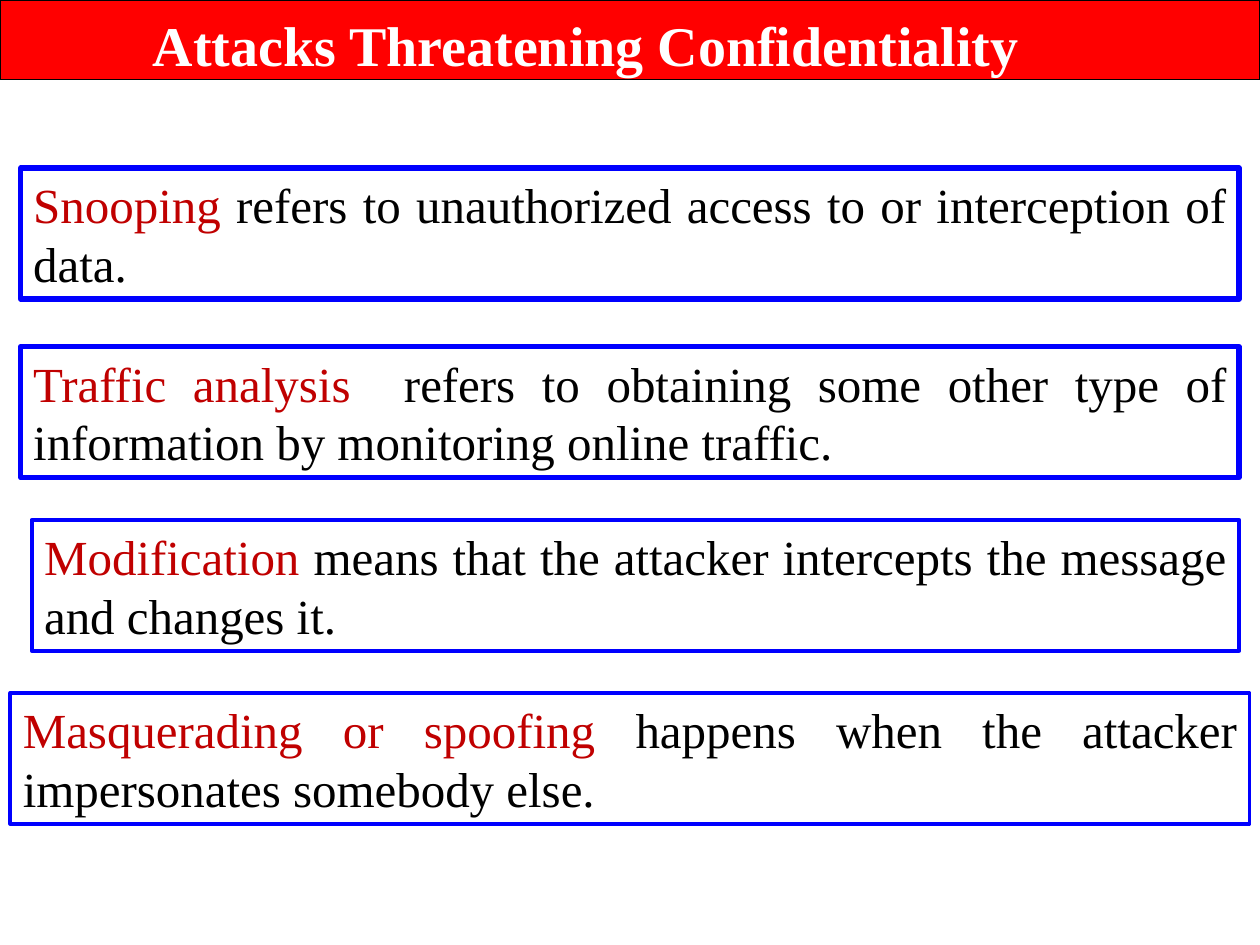
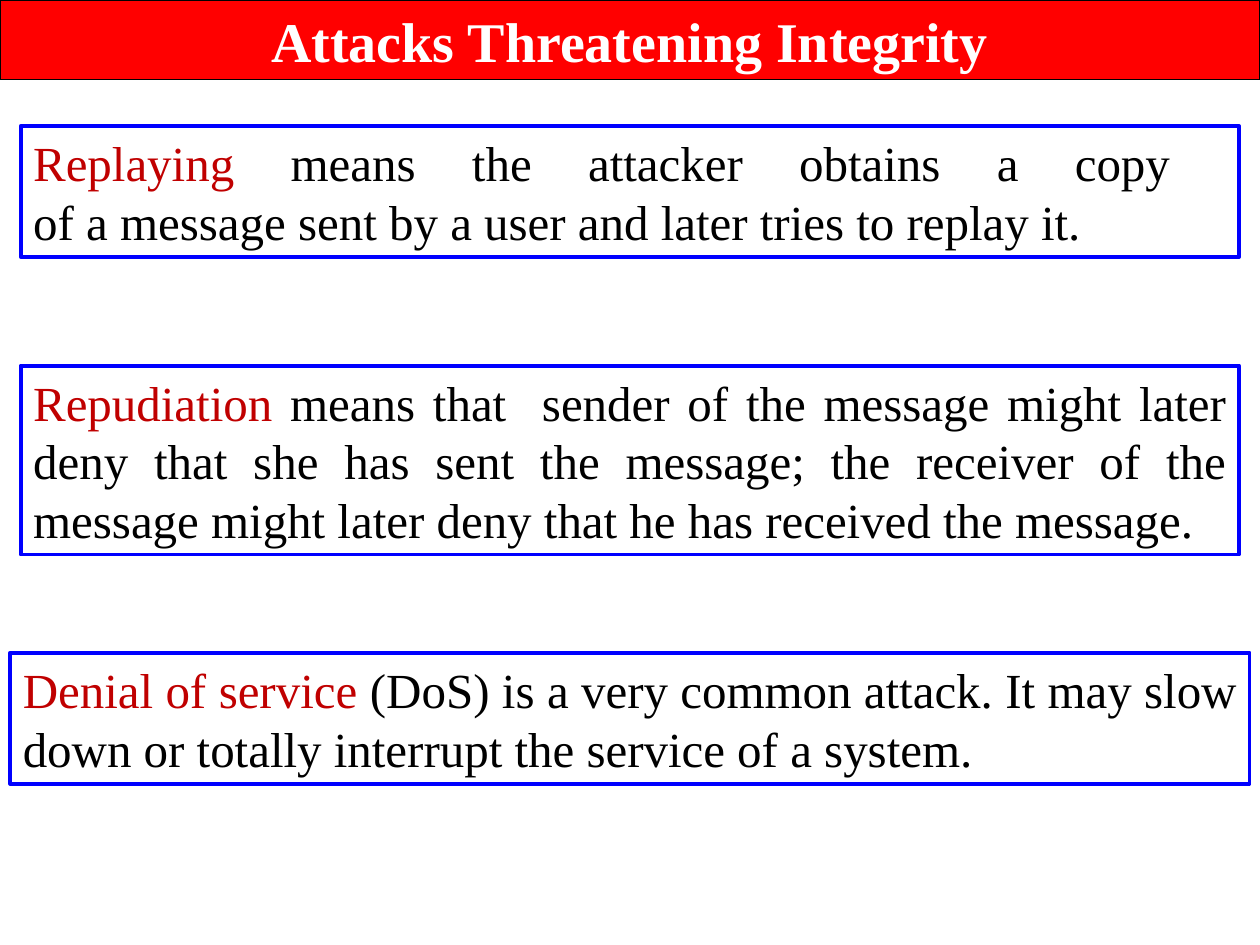
from dataclasses import dataclass

import pptx
import pptx.dml.color
import pptx.enum.shapes
import pptx.enum.text
import pptx.presentation
import pptx.slide
import pptx.text.text
import pptx.util

Cm = pptx.util.Cm
Pt = pptx.util.Pt
Color = pptx.dml.color.RGBColor
Anchor = pptx.enum.text.MSO_ANCHOR
Align = pptx.enum.text.PP_ALIGN
AutoSize = pptx.enum.text.MSO_AUTO_SIZE
RECTANGLE = pptx.enum.shapes.MSO_SHAPE.RECTANGLE


@dataclass(frozen=True)
class Theme:
    font: str = "Times New Roman"
    title_size: float = 32
    body_size: float = 28
    band: Color = Color(0xFF, 0x00, 0x00)
    band_line: Color = Color(0x00, 0x00, 0x00)
    title: Color = Color(0xFF, 0xFF, 0xFF)
    frame: Color = Color(0x00, 0x00, 0xFF)
    term: Color = Color(0xC0, 0x00, 0x00)
    body: Color = Color(0x00, 0x00, 0x00)


@dataclass(frozen=True)
class Definition:
    top: float
    term: str
    meaning: str
    left: float = 0.42
    right: float = 0.42
    lines: int = 2
    border: float = 2.25


@dataclass(frozen=True)
class AttackPage:
    title: str
    definitions: tuple[Definition, ...]
    title_top: float = 0
    title_width: float = 25.4
    title_height: float = 1.6
    title_anchor: Anchor = Anchor.MIDDLE


THEME = Theme()
PAGE_WIDTH = 25.4
PAGE_HEIGHT = 19.05
BAND_HEIGHT = 1.6
LINE_HEIGHT = 1.17
FRAME_PADDING = 0.3

PAGES = (
    AttackPage(
        "Attacks Threatening Confidentiality ",
        (
            Definition(3.39, "Snooping", " refers to unauthorized access to or interception of data.", border=3),
            Definition(
                6.99,
                "Traffic analysis  ",
                "refers to obtaining some other type of information by monitoring online traffic. ",
                border=3,
            ),
            Definition(
                10.48,
                "Modification ",
                "means that the attacker intercepts the message and changes it.",
                left=0.64,
            ),
            Definition(
                13.97,
                "Masquerading or spoofing ",
                "happens when the attacker impersonates somebody else.",
                left=0.21,
                right=0.21,
            ),
        ),
        title_top=0.08,
        title_width=23.92,
        title_height=1.62,
        title_anchor=Anchor.TOP,
    ),
    AttackPage(
        "Attacks Threatening Integrity",
        (
            Definition(
                2.54,
                "Replaying",
                " means the attacker obtains a copy \nof a message sent by a user and later tries to replay it. ",
            ),
            Definition(
                7.37,
                "Repudiation",
                " means that  sender of the message might later deny that she has sent the message; "
                "the receiver of the message might later deny that he has received the message.",
                lines=3,
            ),
            Definition(
                13.16,
                "Denial of service ",
                "(DoS) is a very common attack. It may slow down or totally interrupt the service of a system. ",
                left=0.21,
                right=0.21,
            ),
        ),
    ),
)


def add_span(para: pptx.text.text._Paragraph, text: str, size: float, color: Color, bold: bool = False) -> None:
    for index, line in enumerate(text.split("\n")):
        if index:
            para.add_line_break()
        span = para.add_run()
        span.text = line
        span.font.name = THEME.font
        span.font.size = Pt(size)
        span.font.bold = bold
        span.font.color.rgb = color


def set_frame(frame: pptx.text.text.TextFrame, anchor: Anchor, auto_size: AutoSize) -> None:
    frame.word_wrap = True
    frame.auto_size = auto_size
    frame.vertical_anchor = anchor
    frame.margin_left = frame.margin_right = Cm(0.25)
    frame.margin_top = frame.margin_bottom = Cm(0.13)


def add_title(page: pptx.slide.Slide, content: AttackPage) -> None:
    band = page.shapes.add_shape(RECTANGLE, 0, 0, Cm(PAGE_WIDTH), Cm(BAND_HEIGHT))
    band.shadow.inherit = False
    band.fill.solid()
    band.fill.fore_color.rgb = THEME.band
    band.line.color.rgb = THEME.band_line
    band.line.width = Pt(0.75)

    title = page.shapes.title
    title.element.addprevious(band.element)
    title.left, title.top = Cm(0), Cm(content.title_top)
    title.width, title.height = Cm(content.title_width), Cm(content.title_height)
    set_frame(title.text_frame, content.title_anchor, AutoSize.NONE)
    para = title.text_frame.paragraphs[0]
    para.alignment = Align.CENTER
    add_span(para, content.title, THEME.title_size, THEME.title, bold=True)


def add_definition(page: pptx.slide.Slide, definition: Definition) -> None:
    box = page.shapes.add_shape(
        RECTANGLE,
        Cm(definition.left),
        Cm(definition.top),
        Cm(PAGE_WIDTH - definition.left - definition.right),
        Cm(FRAME_PADDING + LINE_HEIGHT * definition.lines),
    )
    box.shadow.inherit = False
    box.fill.background()
    box.line.color.rgb = THEME.frame
    box.line.width = Pt(definition.border)
    set_frame(box.text_frame, Anchor.TOP, AutoSize.SHAPE_TO_FIT_TEXT)
    para = box.text_frame.paragraphs[0]
    para.alignment = Align.JUSTIFY
    add_span(para, definition.term, THEME.body_size, THEME.term)
    add_span(para, definition.meaning, THEME.body_size, THEME.body)


def add_page(deck: pptx.presentation.Presentation, content: AttackPage) -> None:
    page = deck.slides.add_slide(deck.slide_layouts.get_by_name("Title Only"))
    add_title(page, content)
    for definition in content.definitions:
        add_definition(page, definition)


def main() -> None:
    deck = pptx.Presentation()
    deck.slide_width = Cm(PAGE_WIDTH)
    deck.slide_height = Cm(PAGE_HEIGHT)
    for content in PAGES:
        add_page(deck, content)
    deck.save("out.pptx")


if __name__ == "__main__":
    main()
